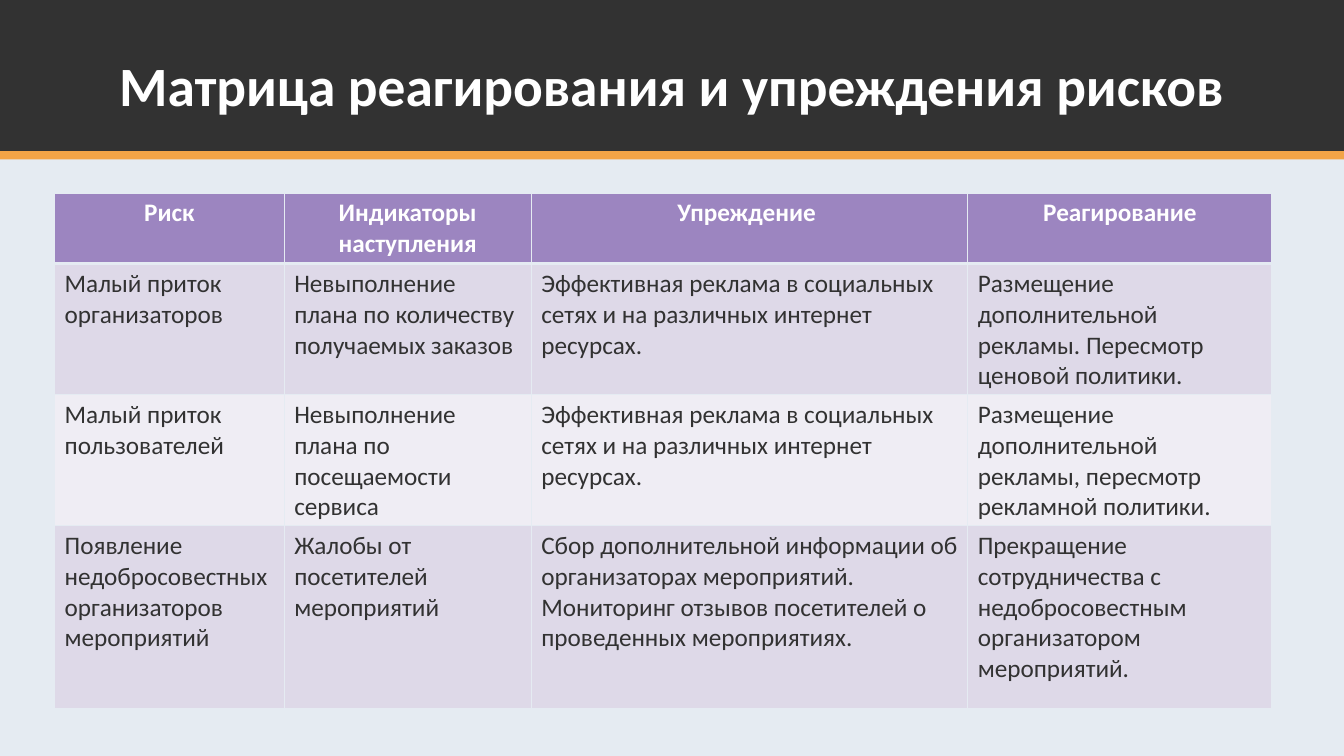
from lxml.etree import SubElement
from pptx import Presentation
from pptx.dml.color import RGBColor
from pptx.enum.shapes import MSO_SHAPE
from pptx.enum.text import MSO_ANCHOR, PP_ALIGN
from pptx.oxml.ns import qn
from pptx.util import Pt

TITLE = "Матрица реагирования и упреждения рисков"
RISKS = [
    ("Риск", "Индикаторы наступления", "Упреждение ", "Реагирование"),
    (
        "Малый приток организаторов",
        "Невыполнение плана по количеству получаемых заказов",
        "Эффективная реклама в социальных сетях и на различных интернет ресурсах.",
        "Размещение дополнительной рекламы. Пересмотр ценовой политики.",
    ),
    (
        "Малый приток пользователей",
        "Невыполнение плана по посещаемости сервиса",
        "Эффективная реклама в социальных сетях и на различных интернет ресурсах.",
        "Размещение дополнительной рекламы, пересмотр рекламной политики.",
    ),
    (
        "Появление недобросовестных организаторов мероприятий",
        "Жалобы от посетителей мероприятий",
        "Сбор дополнительной информации об организаторах мероприятий. "
        "Мониторинг отзывов посетителей о проведенных мероприятиях.",
        "Прекращение сотрудничества с недобросовестным организатором мероприятий.",
    ),
]
COL_WIDTHS = [164, 176.5, 311.8, 217.4]
ROW_HEIGHTS = [49, 90.7, 90.7, 131]

THEME = {
    "font": "Calibri",
    "dark": "323232",
    "accent": "F3A447",
    "back": "E5EBF2",
    "white": "FFFFFF",
    "header": "9C85C0",
    "bands": ["DED9E8", "EFEDF4"],
    "title_size": 39.6,
    "cell_size": 18,
    "border": 1,
    "header_border": 3,
}
WIDTH, HEIGHT = 960, 540
BANNER_H, STRIPE_H = 108, 5.8
TITLE_BOX = (66, 29, 828, 69)
TABLE_AT = (39, 137.8)


def rgb(name):
    return RGBColor.from_string(THEME.get(name, name))


def paint(fill, color):
    fill.solid()
    fill.fore_color.rgb = rgb(color)


def add_band(s, top, height, color):
    sp = s.shapes.add_shape(MSO_SHAPE.RECTANGLE, 0, Pt(top), Pt(WIDTH), Pt(height))
    sp.shadow.inherit = False
    paint(sp.fill, color)
    sp.line.fill.background()


def write(tf, text, size, color, bold, align):
    p = tf.paragraphs[0]
    p.alignment = align
    r = p.add_run()
    r.text = text
    for key, value in {"name": THEME["font"], "size": Pt(THEME[size]), "bold": bold}.items():
        setattr(r.font, key, value)
    r.font.color.rgb = rgb(color)
    return p


def add_borders(cell, row):
    widths = {
        "L": "border",
        "R": "border",
        "T": "header_border" if row == 1 else "border",
        "B": "header_border" if row == 0 else "border",
    }
    tc_pr = cell._tc.get_or_add_tcPr()
    for side, width in widths.items():
        ln = SubElement(tc_pr, qn(f"a:ln{side}"), w=str(Pt(THEME[width])))
        SubElement(SubElement(ln, qn("a:solidFill")), qn("a:srgbClr"), val=THEME["back"])


def add_title(s):
    tf = s.shapes.add_textbox(*map(Pt, TITLE_BOX)).text_frame
    tf.word_wrap = True
    tf.vertical_anchor = MSO_ANCHOR.MIDDLE
    p = write(tf, TITLE, "title_size", "white", True, PP_ALIGN.CENTER)
    p.line_spacing = 0.9


def add_risk_table(s):
    size = (sum(COL_WIDTHS), sum(ROW_HEIGHTS))
    table = s.shapes.add_table(
        len(RISKS), len(COL_WIDTHS), *map(Pt, TABLE_AT + size)
    ).table
    table.first_row = table.horz_banding = False
    for column, width in zip(table.columns, COL_WIDTHS):
        column.width = Pt(width)
    for row, height in zip(table.rows, ROW_HEIGHTS):
        row.height = Pt(height)
    for i, texts in enumerate(RISKS):
        head = i == 0
        fill = "header" if head else THEME["bands"][(i - 1) % 2]
        color = "white" if head else "dark"
        align = PP_ALIGN.CENTER if head else PP_ALIGN.LEFT
        for j, text in enumerate(texts):
            cell = table.cell(i, j)
            add_borders(cell, i)
            paint(cell.fill, fill)
            write(cell.text_frame, text, "cell_size", color, head, align)


def main():
    prs = Presentation()
    prs.slide_width, prs.slide_height = Pt(WIDTH), Pt(HEIGHT)
    s = prs.slides.add_slide(prs.slide_layouts[6])
    paint(s.background.fill, "back")
    add_band(s, 0, BANNER_H, "dark")
    add_band(s, BANNER_H, STRIPE_H, "accent")
    add_title(s)
    add_risk_table(s)
    prs.save("out.pptx")


if __name__ == "__main__":
    main()
